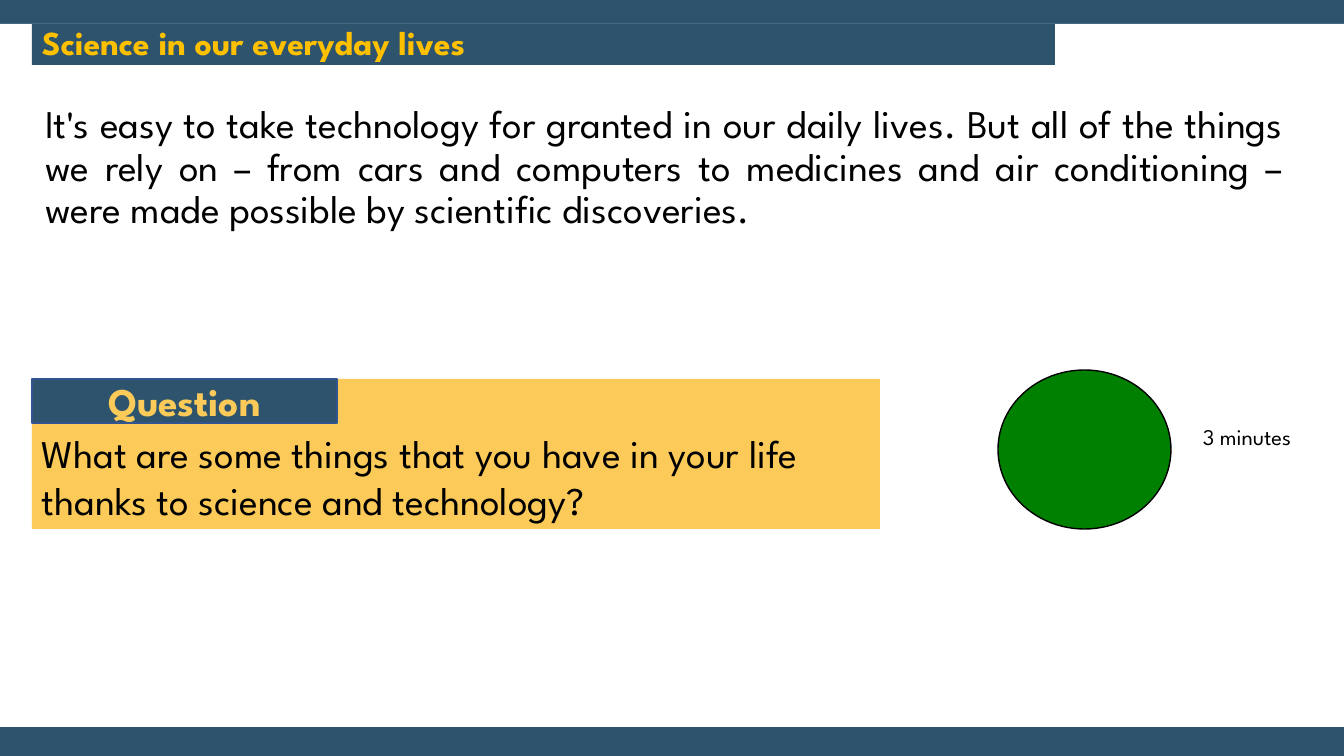
from pptx import Presentation
from pptx.dml.color import RGBColor
from pptx.enum.shapes import MSO_SHAPE as Shape
from pptx.enum.text import MSO_ANCHOR as Anchor, PP_ALIGN as Align
from pptx.util import Pt

SLIDE_W, SLIDE_H = 1344, 756
PX = 12192000 / SLIDE_W
MARGIN = 32
QUESTION_TOP = 379
QUESTION_W = 848

NAVY = RGBColor(0x2E, 0x54, 0x6D)
WHITE = RGBColor(0xFF, 0xFF, 0xFF)
GOLD = RGBColor(0xFF, 0xC0, 0x00)
AMBER = RGBColor(0xFB, 0xCA, 0x58)
INDIGO = RGBColor(0x32, 0x54, 0x91)
GREEN = RGBColor(0x00, 0x80, 0x00)
BLACK = RGBColor(0x00, 0x00, 0x00)


def add_block(kind, box, fill, outline=None):
    block = slide.shapes.add_shape(kind, *[round(v * PX) for v in box])
    block.shadow.inherit = False
    block.fill.solid()
    block.fill.fore_color.rgb = fill
    if outline is None:
        block.line.fill.background()
    else:
        block.line.color.rgb = outline
        block.line.width = Pt(1)
    return block


def write(holder, words, size, color, bold=False, align=Align.LEFT,
          anchor=Anchor.TOP, spacing=1.0):
    frame = holder.text_frame
    frame.word_wrap = True
    frame.vertical_anchor = anchor
    paragraph = frame.paragraphs[0]
    paragraph.alignment = align
    paragraph.line_spacing = spacing
    run = paragraph.add_run()
    run.text = words
    run.font.color.rgb = color
    font_values = {"name": "League Spartan", "size": Pt(size), "bold": bold}
    for key, value in font_values.items():
        setattr(run.font, key, value)


deck = Presentation()
deck.slide_width = round(SLIDE_W * PX)
deck.slide_height = round(SLIDE_H * PX)
slide = deck.slides.add_slide(deck.slide_layouts[6])

add_block(Shape.RECTANGLE, (0, 0, SLIDE_W, SLIDE_H), NAVY)
add_block(Shape.RECTANGLE, (0, 24, SLIDE_W, 703), WHITE)

title = add_block(Shape.RECTANGLE, (MARGIN, 24, 1023, 41), NAVY)
write(title, "Science in our everyday lives", 24, GOLD, bold=True,
      anchor=Anchor.MIDDLE, spacing=0.9)

intro = slide.shapes.add_textbox(
    *[round(v * PX) for v in (MARGIN, 92, 1264, 598)])
for side in ("left", "top", "right", "bottom"):
    setattr(intro.text_frame, f"margin_{side}", round(13 * PX))
write(intro,
      "It's easy to take technology for granted in our daily lives. "
      "But all of the things we rely on – from cars and computers to "
      "medicines and air conditioning – were made possible by "
      "scientific discoveries.",
      28, BLACK, align=Align.JUSTIFY, spacing=0.9)

add_block(Shape.RECTANGLE, (MARGIN, QUESTION_TOP, QUESTION_W, 150), AMBER)
question_label = add_block(
    Shape.RECTANGLE, (MARGIN, QUESTION_TOP, 305, 44), NAVY, INDIGO)
write(question_label, "Question", 28, AMBER, bold=True, align=Align.CENTER,
      anchor=Anchor.MIDDLE)

question = slide.shapes.add_textbox(
    *[round(v * PX) for v in (MARGIN, QUESTION_TOP + 45, QUESTION_W, 99)])
write(question,
      "What are some things that you have in your life thanks to "
      "science and technology?", 28, BLACK)

add_block(Shape.OVAL, (998, 370, 173, 159), GREEN, BLACK)
timer_label = slide.shapes.add_textbox(
    *[round(v * PX) for v in (1183, 418, 128, 37)])
write(timer_label, "3 minutes", 16, BLACK, align=Align.CENTER)

deck.save("out.pptx")
